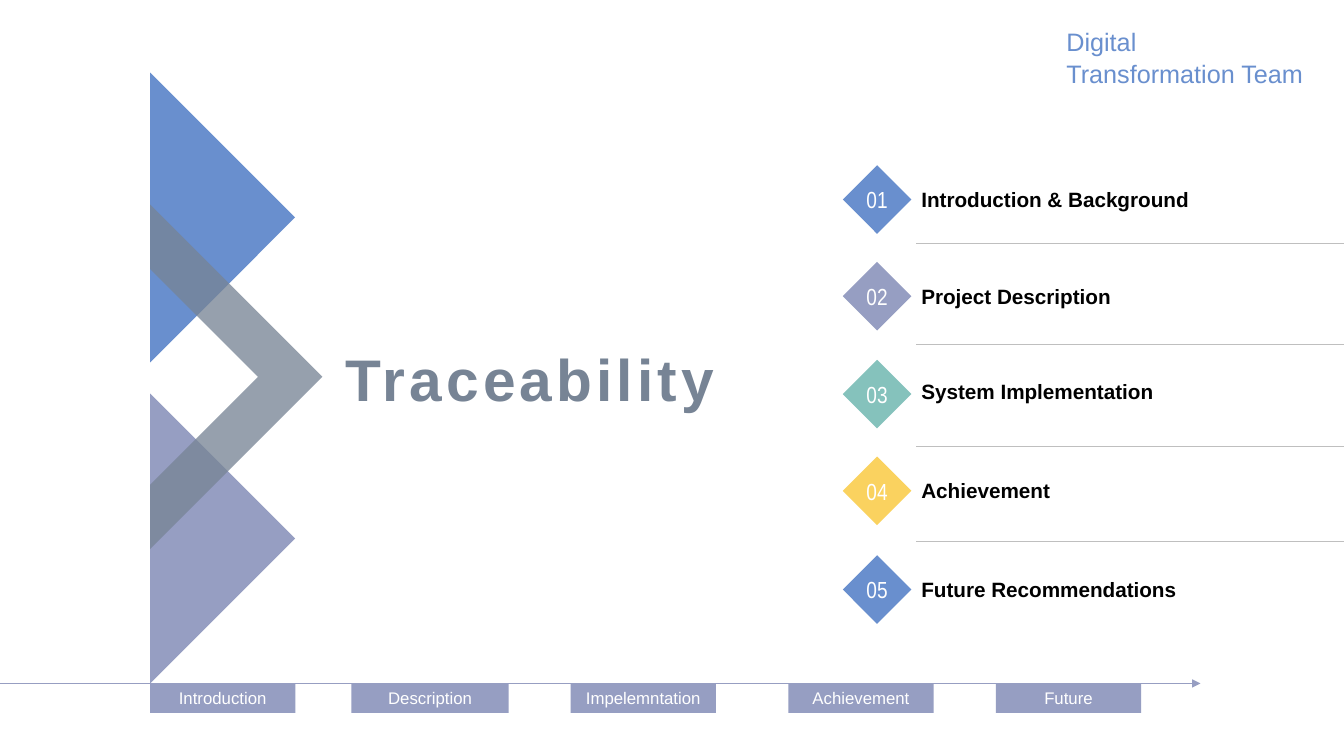
from lxml import etree
from pptx import Presentation
from pptx import util as u
from pptx.dml.color import RGBColor
from pptx.enum import shapes, text
from pptx.oxml import ns

Pt = u.Pt
SLIDE_W, SLIDE_H = 960, 540
COLORS = {
    "blue": "698FCE", "lilac": "969EC2", "teal": "85C2BC", "yellow": "FAD25F",
    "slate": "778495", "rule": "BFBFBF", "axis": "979EC2",
    "white": "FFFFFF", "black": "000000",
}
AGENDA = [
    ("Introduction & Background", "blue", 0, 13),
    ("Project Description", "lilac", 69.1, 13),
    ("System Implementation", "teal", 139, 10.8),
    ("Achievement", "yellow", 208.1, 13),
    ("Future Recommendations", "blue", 278.6, 13),
]
RULES = [55.4, 128.2, 200.9, 268.6]
STAGES = [
    ("Introduction", 107.3, 103.7),
    ("Description", 251.1, 112.3),
    ("Impelemntation", 407.7, 103.7),
    ("Achievement", 563.2, 103.7),
    ("Future", 711.4, 103.7),
]


def rgb(name):
    return RGBColor.from_string(COLORS[name])


def write(sp, content, size, color, font="Arial", bold=False, align="LEFT",
          anchor="MIDDLE", insets=(7.2, 3.6, 7.2, 3.6), wrap=True,
          spacing=None, leading=None):
    tf = sp.text_frame
    tf.word_wrap = wrap
    tf.vertical_anchor = getattr(text.MSO_ANCHOR, anchor)
    tf.margin_left, tf.margin_top, tf.margin_right, tf.margin_bottom = map(Pt, insets)
    p = tf.paragraphs[0]
    p.alignment = getattr(text.PP_ALIGN, align)
    if leading:
        p.line_spacing = leading
    r = p.add_run()
    r.text = content
    r.font.size, r.font.name, r.font.bold = Pt(size), font, bold
    r.font.color.rgb = rgb(color)
    if spacing:
        r.font._element.set("spc", str(int(spacing * 100)))


def paint(sp, color):
    sp.shadow.inherit = False
    sp.fill.solid()
    sp.fill.fore_color.rgb = rgb(color)
    sp.line.fill.background()
    return sp


def add_shape(s, kind, box, color):
    return paint(s.shapes.add_shape(kind, *map(Pt, box)), color)


def add_text(s, box, content, **fmt):
    write(s.shapes.add_textbox(*map(Pt, box)), content, **fmt)


def add_outline(s, points, color):
    pts = [(Pt(x), Pt(y)) for x, y in points]
    fb = s.shapes.build_freeform(*pts[0])
    fb.add_line_segments(pts[1:], close=True)
    return paint(fb.convert_to_shape(), color)


def add_line(s, x1, x2, y, color, width):
    c = s.shapes.add_connector(shapes.MSO_CONNECTOR.STRAIGHT, Pt(x1), Pt(y), Pt(x2), Pt(y))
    c.line.color.rgb = rgb(color)
    c.line.width = Pt(width)
    etree.SubElement(c._element.spPr, ns.qn("a:effectLst"))
    return c


def add_emblem(s, left, top, height):
    side = 103.5
    for color, y in (("lilac", top + height - 2 * side), ("blue", top)):
        add_outline(s, [(left, y), (left + side, y + side), (left, y + 2 * side)], color)
    mid, reach, band = top + 217.4, 123, 46
    chevron = add_outline(s, [
        (left + reach, mid), (left, mid + reach), (left, mid + reach - band),
        (left + reach - band, mid), (left, mid - reach + band), (left, mid - reach),
    ], "slate")
    fill = chevron._element.spPr.find(ns.qn("a:solidFill"))
    etree.SubElement(fill[0], ns.qn("a:alpha"), val="77000")


def add_agenda(s, left, top, width):
    size = 49
    for number, (label, color, y, offset) in enumerate(AGENDA, 1):
        sp = add_shape(s, shapes.MSO_SHAPE.DIAMOND, (left, top + y, size, size), color)
        write(sp, f"{number:02}", size=16.6, color="white", font="Arial Narrow",
              align="CENTER", wrap=False)
        add_text(s, (left + size, top + y + offset, width - size, 23.8), label,
                 size=14.8, color="black", bold=True, anchor="BOTTOM")
    for y in RULES:
        add_line(s, left + 52.6, left + width, top + y, "rule", 0.25)


def add_timeline(s, left, top, width, height):
    axis = add_line(s, left, left + width, top, "axis", 0.75)
    etree.SubElement(axis.line._get_or_add_ln(), ns.qn("a:tailEnd"), type="triangle")
    for label, x, w in STAGES:
        sp = add_shape(s, shapes.MSO_SHAPE.RECTANGLE, (left + x, top, w, height), "lilac")
        write(sp, label, size=12, color="white", align="CENTER", insets=(0, 0, 0, 0))


def main():
    prs = Presentation()
    prs.slide_width, prs.slide_height = Pt(SLIDE_W), Pt(SLIDE_H)
    s = prs.slides.add_slide(prs.slide_layouts[6])
    add_emblem(s, 107.3, 51.8, 436.4)
    add_text(s, (229, 234, 294.5, 72.7), "Traceability", size=41.9, color="slate",
             bold=True, align="RIGHT", spacing=3, insets=(0, 3.6, 13, 3.6))
    add_agenda(s, 602, 118, SLIDE_W - 602)
    add_text(s, (754.6, 13.7, 185.8, 50), "Digital Transformation Team", size=18,
             color="blue", anchor="TOP", leading=1.07)
    add_timeline(s, 0, 488.2, 857.5, 21)
    prs.save("out.pptx")


if __name__ == "__main__":
    main()
